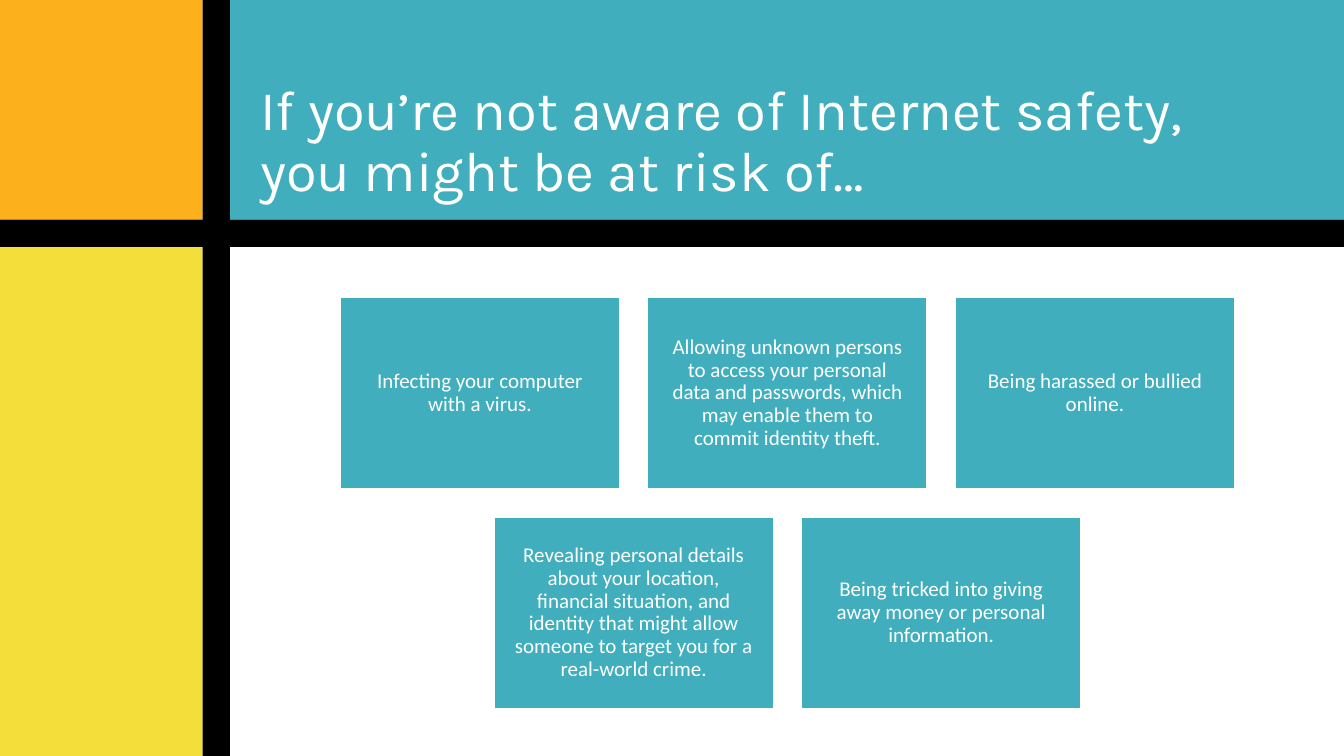
from dataclasses import dataclass

from pptx import Presentation
from pptx.dml.color import RGBColor
from pptx.enum.shapes import MSO_SHAPE
from pptx.enum.text import MSO_ANCHOR, MSO_AUTO_SIZE, PP_ALIGN
from pptx.shapes.autoshape import Shape
from pptx.slide import Slide
from pptx.util import Inches, Pt


@dataclass(frozen=True)
class Theme:
    teal: str = "41AEBD"
    orange: str = "FCB11C"
    yellow: str = "F4DE3A"
    black: str = "000000"
    white: str = "FFFFFF"
    title_font: str = "Karla"
    title_size: int = 40
    card_font: str = "Calibri"
    card_size: int = 15


@dataclass(frozen=True)
class Block:
    left: float
    top: float
    width: float
    height: float
    color: str


@dataclass(frozen=True)
class TextStyle:
    font: str
    size: int
    anchor: MSO_ANCHOR
    align: PP_ALIGN
    inset_x: float
    inset_y: float


THEME = Theme()
WIDTH, HEIGHT = 13.33, 7.5
BAR = 0.27
BAR_LEFT, BAR_TOP = 2.01, 2.18
PANEL_LEFT, PANEL_TOP = BAR_LEFT + BAR, BAR_TOP + BAR

BACKDROP = [
    Block(PANEL_LEFT, 0, WIDTH - PANEL_LEFT, BAR_TOP, THEME.teal),
    Block(0, 0, BAR_LEFT, BAR_TOP, THEME.orange),
    Block(0, PANEL_TOP, BAR_LEFT, HEIGHT - PANEL_TOP, THEME.yellow),
    Block(0, BAR_TOP, WIDTH, BAR, THEME.black),
    Block(BAR_LEFT, 0, BAR, HEIGHT, THEME.black),
]

HEADLINE = "If you’re not aware of Internet safety,\vyou might be at risk of…"
RISK_ROWS = [
    [
        "Infecting your computer with a virus.",
        "Allowing unknown persons to access your personal data and passwords, "
        "which may enable them to commit identity theft.",
        "Being harassed or bullied online.",
    ],
    [
        "Revealing personal details about your location, financial situation, "
        "and identity that might allow someone to target you for a real-world crime.",
        "Being tricked into giving away money or personal information.",
    ],
]
CARD_WIDTH, CARD_HEIGHT = 2.77, 1.9
CARD_GAP = 0.28
ROWS_TOP, ROWS_CENTER = 2.95, 7.81
ROW_PITCH = 2.18

TITLE_STYLE = TextStyle(
    THEME.title_font, THEME.title_size, MSO_ANCHOR.BOTTOM, PP_ALIGN.LEFT, 0.3, 0.15
)
CARD_STYLE = TextStyle(
    THEME.card_font, THEME.card_size, MSO_ANCHOR.MIDDLE, PP_ALIGN.CENTER, 0.2, 0.1
)


def draw_block(slide: Slide, block: Block) -> Shape:
    panel = slide.shapes.add_shape(
        MSO_SHAPE.RECTANGLE,
        Inches(block.left),
        Inches(block.top),
        Inches(block.width),
        Inches(block.height),
    )
    panel.shadow.inherit = False
    panel.fill.solid()
    panel.fill.fore_color.rgb = RGBColor.from_string(block.color)
    panel.line.fill.background()
    return panel


def write_text(holder: Shape, text: str, style: TextStyle) -> None:
    frame = holder.text_frame
    frame.text = text
    frame_format = {
        "word_wrap": True,
        "auto_size": MSO_AUTO_SIZE.NONE,
        "vertical_anchor": style.anchor,
        "margin_left": Inches(style.inset_x),
        "margin_right": Inches(style.inset_x),
        "margin_top": Inches(style.inset_y),
        "margin_bottom": Inches(style.inset_y),
    }
    for name, value in frame_format.items():
        setattr(frame, name, value)
    paragraph = frame.paragraphs[0]
    paragraph.alignment = style.align
    paragraph.line_spacing = 0.9
    for run in paragraph.runs:
        run.font.name = style.font
        run.font.size = Pt(style.size)
        run.font.color.rgb = RGBColor.from_string(THEME.white)


def draw_risk_row(slide: Slide, risks: list[str], top: float) -> None:
    pitch = CARD_WIDTH + CARD_GAP
    row_left = ROWS_CENTER - (len(risks) * pitch - CARD_GAP) / 2
    for column, risk in enumerate(risks):
        left = row_left + column * pitch
        card = draw_block(slide, Block(left, top, CARD_WIDTH, CARD_HEIGHT, THEME.teal))
        card.line.color.rgb = RGBColor.from_string(THEME.white)
        card.line.width = Pt(1)
        write_text(card, risk, CARD_STYLE)


def place_headline(slide: Slide) -> None:
    headline = slide.shapes.title
    position = {"left": PANEL_LEFT, "top": 0.66, "width": 10.65, "height": 1.51}
    for name, value in position.items():
        setattr(headline, name, Inches(value))
    write_text(headline, HEADLINE, TITLE_STYLE)
    tree = slide.shapes.element
    tree.remove(headline.element)
    tree.append(headline.element)


def main() -> None:
    deck = Presentation()
    deck.slide_width, deck.slide_height = Inches(WIDTH), Inches(HEIGHT)
    slide = deck.slides.add_slide(deck.slide_layouts.get_by_name("Title Only"))
    for block in BACKDROP:
        draw_block(slide, block)
    for row, risks in enumerate(RISK_ROWS):
        draw_risk_row(slide, risks, ROWS_TOP + row * ROW_PITCH)
    place_headline(slide)
    deck.save("out.pptx")


if __name__ == "__main__":
    main()
